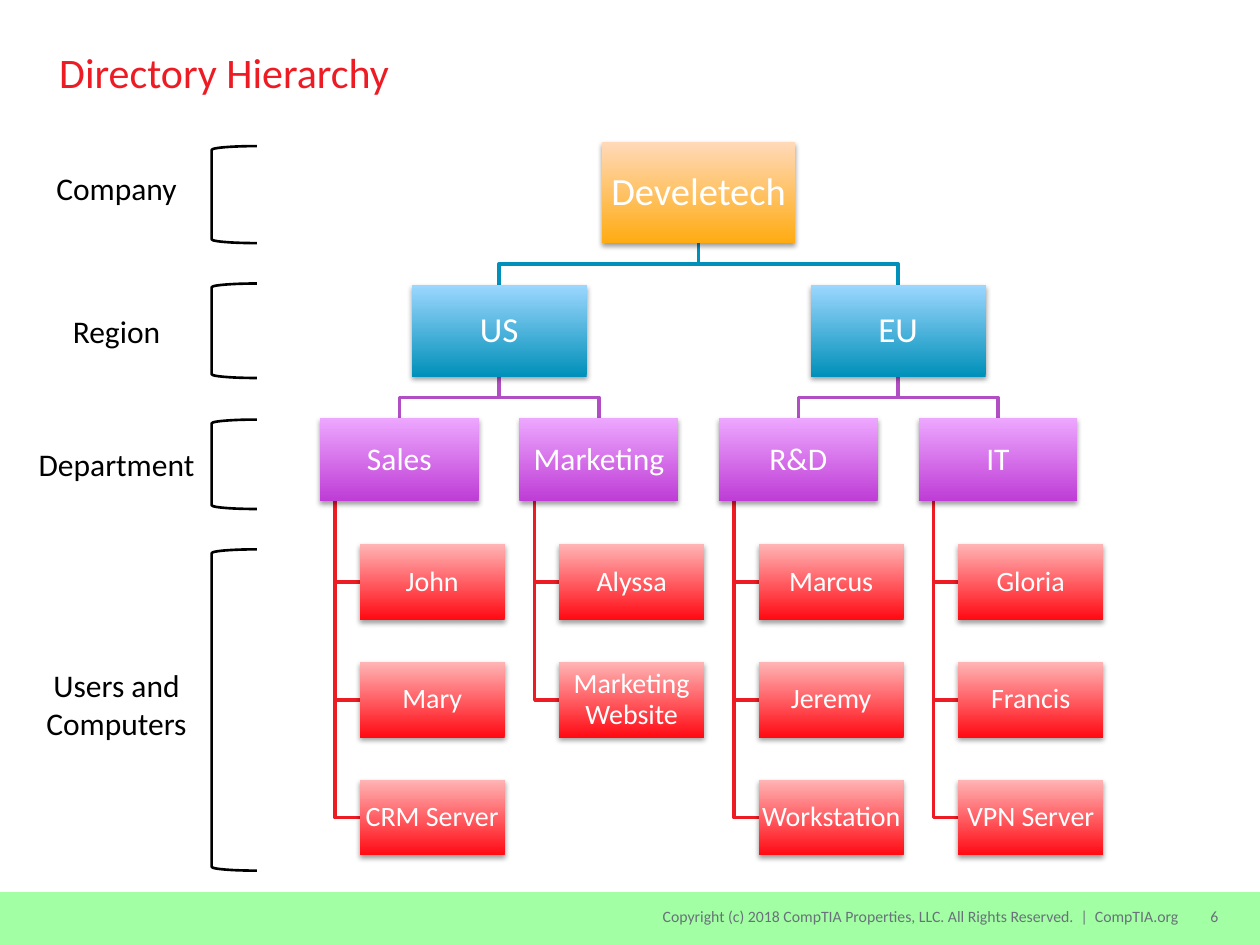
from dataclasses import dataclass

from lxml.etree import SubElement
from pptx import Presentation
from pptx.dml.color import RGBColor
from pptx.enum.shapes import MSO_SHAPE
from pptx.enum.text import MSO_ANCHOR, PP_ALIGN
from pptx.oxml.ns import qn
from pptx.util import Inches, Pt


@dataclass(frozen=True)
class Level:
    top: float
    width: float
    height: float
    font_size: int
    dark: str
    light: str
    line: str = ""


@dataclass(frozen=True)
class Node:
    center: float
    level: Level
    row: int = 0

    @property
    def left(self) -> float:
        return self.center - self.level.width / 2

    @property
    def top(self) -> float:
        return self.level.top + self.row * ROW_PITCH

    @property
    def bottom(self) -> float:
        return self.top + self.level.height


@dataclass(frozen=True)
class Tier:
    label: str
    label_top: float
    label_height: float
    bracket_top: float
    bracket_height: float


COMPANY = Level(1.13, 1.53, 0.8, 22, "FFAB12", "FFD9B8")
REGION = Level(2.26, 1.39, 0.73, 20, "0090B9", "9DD7FF", "0090B9")
DEPARTMENT = Level(3.32, 1.26, 0.66, 18, "BE3CD5", "EDA7FF", "B24EC3")
MEMBER = Level(4.32, 1.15, 0.6, 16, "FF0A13", "FFB4B5", "ED1C24")

FIRST_CENTER = 3.17
COLUMN_PITCH = 4.75 / 3
ROW_PITCH = 0.935
MEMBER_SHIFT = 0.26
TRUNK_INDENT = 0.12

REGIONS = {
    "US": {
        "Sales": ["John", "Mary", "CRM Server"],
        "Marketing": ["Alyssa", "Marketing Website"],
    },
    "EU": {
        "R&D": ["Marcus", "Jeremy", "Workstation"],
        "IT": ["Gloria", "Francis", "VPN Server"],
    },
}

TIERS = [
    Tier("Company", 1.29, 0.4, 1.16, 0.77),
    Tier("Region", 2.43, 0.4, 2.25, 0.75),
    Tier("Department", 3.48, 0.4, 3.33, 0.71),
    Tier("Users and Computers", 5.24, 0.69, 4.36, 2.55),
]


def color(hex_value: str) -> RGBColor:
    return RGBColor.from_string(hex_value)


def write(shape, text: str, size: int, hex_value: str, align=PP_ALIGN.CENTER,
          anchor=MSO_ANCHOR.MIDDLE, spacing: float = 1.0) -> None:
    text_frame = shape.text_frame
    text_frame.text = text
    text_frame.word_wrap = True
    text_frame.vertical_anchor = anchor
    paragraph = text_frame.paragraphs[0]
    paragraph.alignment = align
    paragraph.line_spacing = spacing
    font = paragraph.runs[0].font
    font.name, font.size = "Calibri", Pt(size)
    font.color.rgb = color(hex_value)


def add_text(slide, box: tuple[float, ...], text: str, size: int, hex_value: str, **style):
    shape = slide.shapes.add_textbox(*map(Inches, box))
    write(shape, text, size, hex_value, **style)
    return shape


def add_shadow(shape) -> None:
    shape.shadow.inherit = False
    effects = shape.element.spPr.find(qn("a:effectLst"))
    shadow = SubElement(effects, qn("a:outerShdw"), blurRad=str(Pt(3.1)), dist=str(Pt(1.7)),
                        dir="5400000", rotWithShape="0")
    shade = SubElement(shadow, qn("a:srgbClr"), val="000000")
    SubElement(shade, qn("a:alpha"), val="38000")


def add_node(slide, node: Node, text: str) -> None:
    level = node.level
    shape = slide.shapes.add_shape(MSO_SHAPE.RECTANGLE, Inches(node.left), Inches(node.top),
                                   Inches(level.width), Inches(level.height))
    shape.fill.gradient()
    shape.fill.gradient_angle = 90
    for stop, hex_value in zip(shape.fill.gradient_stops, (level.dark, level.light)):
        stop.color.rgb = color(hex_value)
    shape.line.fill.background()
    add_shadow(shape)
    text_frame = shape.text_frame
    text_frame.margin_left = text_frame.margin_right = Inches(0.01)
    text_frame.margin_top = text_frame.margin_bottom = Inches(0.01)
    write(shape, text, level.font_size, "FFFFFF", spacing=0.9)


def add_branch(slide, points: list[tuple[float, float]], hex_value: str) -> None:
    start, *others = [(Inches(x), Inches(y)) for x, y in points]
    builder = slide.shapes.build_freeform(*start)
    builder.add_line_segments(others, close=False)
    shape = builder.convert_to_shape()
    shape.fill.background()
    shape.line.color.rgb = color(hex_value)
    shape.line.width = Pt(2)
    shape.shadow.inherit = False


def link_below(slide, parent: Node, child: Node) -> None:
    middle = (parent.bottom + child.top) / 2
    add_branch(slide, [(parent.center, parent.bottom), (parent.center, middle),
                       (child.center, middle), (child.center, child.top)], child.level.line)


def link_beside(slide, parent: Node, child: Node) -> None:
    trunk = parent.left + TRUNK_INDENT
    middle = child.top + child.level.height / 2
    add_branch(slide, [(trunk, parent.bottom), (trunk, middle), (child.left, middle)],
               child.level.line)


def add_tree(slide) -> None:
    company = Node(FIRST_CENTER + 1.5 * COLUMN_PITCH, COMPANY)
    nodes = [(company, "Develetech")]
    column = 0
    for region_name, departments in REGIONS.items():
        region = Node(FIRST_CENTER + (column + 0.5) * COLUMN_PITCH, REGION)
        nodes.append((region, region_name))
        link_below(slide, company, region)
        for department_name, members in departments.items():
            department = Node(FIRST_CENTER + column * COLUMN_PITCH, DEPARTMENT)
            nodes.append((department, department_name))
            link_below(slide, region, department)
            for row, member_name in enumerate(members):
                member = Node(department.center + MEMBER_SHIFT, MEMBER, row)
                nodes.append((member, member_name))
                link_beside(slide, department, member)
            column += 1
    # Boxes go on top of the branches
    for node, name in nodes:
        add_node(slide, node, name)


def add_tier(slide, tier: Tier) -> None:
    add_text(slide, (0.17, tier.label_top, 1.51, tier.label_height), tier.label, 18, "000000",
             anchor=MSO_ANCHOR.TOP)
    bracket = slide.shapes.add_shape(MSO_SHAPE.LEFT_BRACKET, Inches(1.68),
                                     Inches(tier.bracket_top), Inches(0.36),
                                     Inches(tier.bracket_height))
    bracket.fill.background()
    bracket.line.color.rgb = color("000000")
    bracket.line.width = Pt(1.5)
    bracket.shadow.inherit = False


def add_footer(slide) -> None:
    band = slide.shapes.add_shape(MSO_SHAPE.RECTANGLE, 0, Inches(7.08), Inches(10), Inches(0.42))
    band.fill.solid()
    band.fill.fore_color.rgb = color("A2FFA3")
    band.line.fill.background()
    band.shadow.inherit = False
    copyright_line = ("Copyright (c) 2018 CompTIA Properties, LLC. "
                      "All Rights Reserved.\u00a0 |\u00a0 CompTIA.org").replace("\u00a0", " ")
    for left, width, text in [(3.88, 5.47, copyright_line), (9.38, 0.29, "6")]:
        shape = add_text(slide, (left, 7.12, width, 0.3), text, 9, "69727B",
                         align=PP_ALIGN.RIGHT)
        shape.text_frame.margin_right = 0


def main() -> None:
    presentation = Presentation()
    presentation.slide_width, presentation.slide_height = Inches(10), Inches(7.5)
    slide = presentation.slides.add_slide(presentation.slide_layouts[5])

    # Footer band and title
    add_footer(slide)
    title = slide.shapes.title
    title.left, title.top = Inches(0.37), Inches(0.11)
    title.width, title.height = Inches(9.25), Inches(0.92)
    write(title, "Directory Hierarchy", 24, "ED1C24", align=PP_ALIGN.LEFT)

    # Hierarchy and its tier labels
    add_tree(slide)
    for tier in TIERS:
        add_tier(slide, tier)
    presentation.save("out.pptx")


if __name__ == "__main__":
    main()
